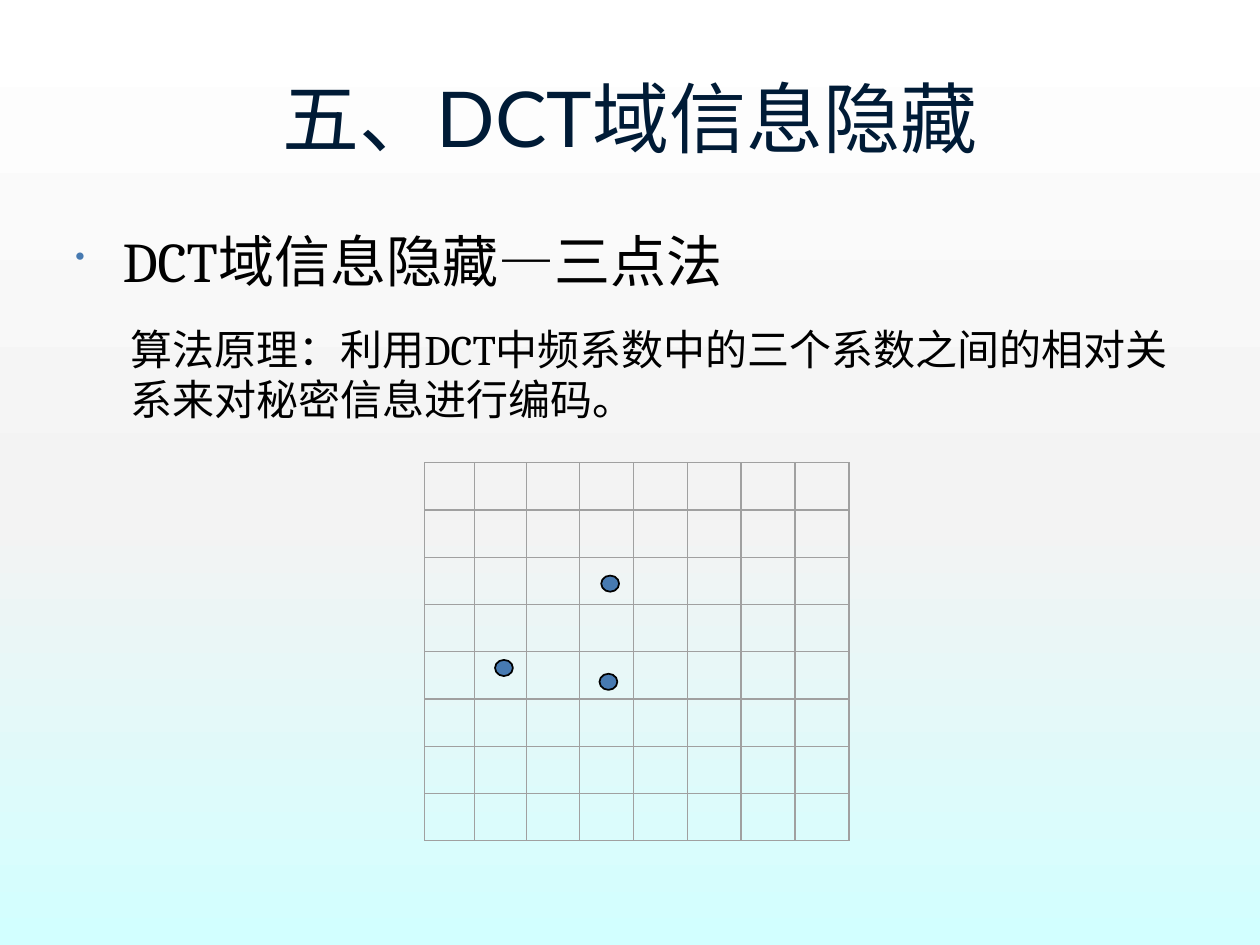
import itertools

import lxml.etree
import pptx
import pptx.dml.color
import pptx.enum.shapes
import pptx.enum.text
import pptx.oxml.ns
import pptx.util

Pt = pptx.util.Pt
OVAL = pptx.enum.shapes.MSO_SHAPE.OVAL
RECTANGLE = pptx.enum.shapes.MSO_SHAPE.RECTANGLE

COLORS = {
    "top": "FFFFFF",
    "middle": "F3F3F3",
    "bottom": "D2FFFF",
    "title": "001B36",
    "body": "000000",
    "accent": "477AB1",
    "grid": "A0A0A0",
}
GRID_LEFT, GRID_TOP = 242.6, 264.4
COLUMN_WIDTHS = [28.5, 29.7, 30.3] + [30.8] * 5
ROW_HEIGHT, ROW_COUNT = 27, 8
DOT_WIDTH, DOT_HEIGHT = 10.2, 9.2
DOTS = [(282.9, 377.1), (343.6, 328.9), (342.6, 385)]


def rgb(name):
    return pptx.dml.color.RGBColor.from_string(COLORS[name])


def apply_format(target, values):
    for name, value in values.items():
        setattr(target, name, value)


def add_element(parent, tag, **attributes):
    return lxml.etree.SubElement(parent, pptx.oxml.ns.qn(tag), attributes)


def paint_background(slide):
    fill = slide.background.fill
    fill.gradient()
    fill.gradient_angle = 270
    stops = fill.gradient_stops[0]._gs.getparent()
    for stop in list(stops):
        stops.remove(stop)
    for position, name in [(0, "top"), (55000, "middle"), (100000, "bottom")]:
        stop = add_element(stops, "a:gs", pos=str(position))
        add_element(stop, "a:srgbClr", val=COLORS[name])


def add_text_frame(slide, left, top, width, height, anchor):
    frame = slide.shapes.add_textbox(Pt(left), Pt(top), Pt(width), Pt(height)).text_frame
    apply_format(frame, {"word_wrap": True, "vertical_anchor": anchor})
    return frame


def write_text(paragraph, words, size, font, color, layout):
    apply_format(paragraph, layout)
    run = paragraph.add_run()
    run.text = words
    apply_format(run.font, {"size": Pt(size), "name": font})
    run.font.color.rgb = rgb(color)


def indent(paragraph, margin, first_line):
    properties = paragraph._p.get_or_add_pPr()
    properties.set("marL", str(Pt(margin)))
    properties.set("indent", str(Pt(first_line)))
    return properties


def add_bullet(properties):
    color = add_element(properties, "a:buClr")
    add_element(color, "a:srgbClr", val=COLORS["accent"])
    add_element(properties, "a:buSzPct", val="50000")
    add_element(properties, "a:buChar", char="•")


def add_outlined(shapes, kind, box, line_color, line_width, fill_color=None):
    shape = shapes.add_shape(kind, *map(Pt, box))
    shape.shadow.inherit = False
    if fill_color:
        shape.fill.solid()
        shape.fill.fore_color.rgb = rgb(fill_color)
    else:
        shape.fill.background()
    shape.line.color.rgb = rgb(line_color)
    shape.line.width = Pt(line_width)


def add_grid(shapes):
    offsets = itertools.accumulate(COLUMN_WIDTHS[:-1], initial=0)
    columns = list(zip(offsets, COLUMN_WIDTHS))
    for row, (offset, width) in itertools.product(range(ROW_COUNT), columns):
        cell = (GRID_LEFT + offset, GRID_TOP + row * ROW_HEIGHT, width, ROW_HEIGHT)
        add_outlined(shapes, RECTANGLE, cell, "grid", 0)
    frame = (GRID_LEFT, GRID_TOP, sum(COLUMN_WIDTHS), ROW_COUNT * ROW_HEIGHT)
    add_outlined(shapes, RECTANGLE, frame, "grid", 0.75)


def main():
    presentation = pptx.Presentation()
    apply_format(presentation, {"slide_width": Pt(720), "slide_height": Pt(540)})
    slide = presentation.slides.add_slide(presentation.slide_layouts[6])
    paint_background(slide)

    anchors = pptx.enum.text.MSO_ANCHOR
    body = add_text_frame(slide, 36, 126, 648, 374.4, anchors.TOP)
    heading = body.paragraphs[0]
    add_bullet(indent(heading, 27, -27))
    write_text(heading, "DCT域信息隐藏—三点法", 32, "Cambria", "body",
               {"space_after": Pt(12)})
    principle = body.add_paragraph()
    indent(principle, 31.5, 0)
    write_text(principle,
               "算法原理：利用DCT中频系数中的三个系数之间的相对关系来对秘密信息进行编码。",
               24, "Cambria", "body", {"level": 1, "space_before": Pt(4.8)})

    title = add_text_frame(slide, 36, 21.6, 648, 90, anchors.MIDDLE)
    write_text(title.paragraphs[0], "五、DCT域信息隐藏", 44, "Lato", "title",
               {"alignment": pptx.enum.text.PP_ALIGN.CENTER})

    block = slide.shapes.add_group_shape().shapes
    add_grid(block)
    for left, top in DOTS:
        add_outlined(block, OVAL, (left, top, DOT_WIDTH, DOT_HEIGHT), "body", 1, "accent")

    presentation.save("out.pptx")


if __name__ == "__main__":
    main()
